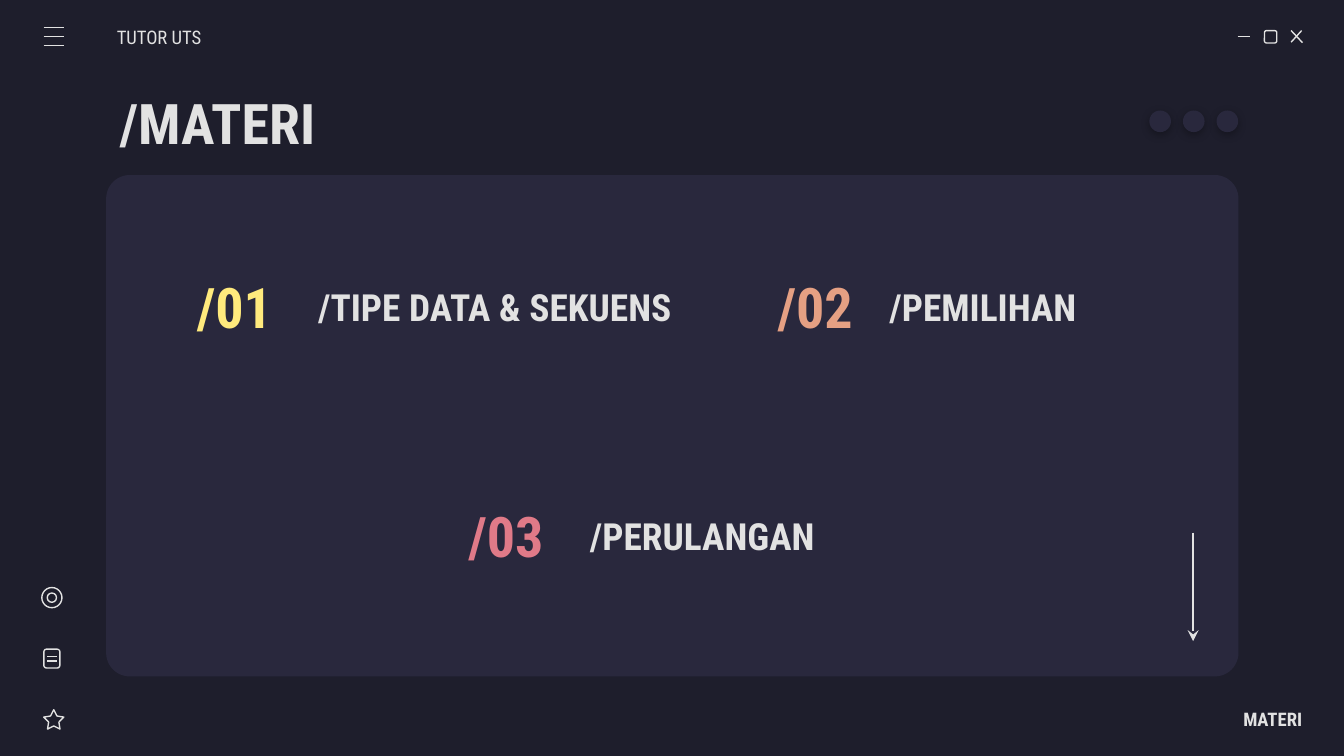
from pptx import Presentation
from pptx.dml.color import RGBColor
from pptx.enum.shapes import MSO_CONNECTOR as Conn, MSO_SHAPE as Kind
from pptx.enum.text import MSO_ANCHOR as Anchor, MSO_AUTO_SIZE as Fit, PP_ALIGN as Align
from pptx.oxml import parse_xml
from pptx.oxml.ns import nsdecls
from pptx.util import Pt

LIGHT, PANEL, BACK = "E2E2E2", "29283D", "1E1E2C"
FONT = "Roboto Condensed"
DROP = (
    '<a:outerShdw blurRad="57150" dist="19050" dir="5400000" algn="bl" rotWithShape="0">'
    '<a:srgbClr val="000000"><a:alpha val="30000"/></a:srgbClr></a:outerShdw>'
)


def paint(color):
    return RGBColor.from_string(color)


def effect(shape, body=""):
    shape._element.spPr.append(parse_xml(f'<a:effectLst {nsdecls("a")}>{body}</a:effectLst>'))


class Deck:
    def __init__(self):
        self.prs = Presentation()
        self.prs.slide_width, self.prs.slide_height = Pt(720), Pt(405)
        self.slide = self.prs.slides.add_slide(self.prs.slide_layouts[5])
        self.slide.background.fill.solid()
        self.slide.background.fill.fore_color.rgb = paint(BACK)

    def label(self, box, text, size, color=LIGHT, bold=True, align=Align.LEFT, left=7.2, right=7.2):
        frame = box.text_frame
        frame.text = text
        frame.word_wrap = True
        frame.auto_size = Fit.NONE
        frame.vertical_anchor = Anchor.MIDDLE
        frame.margin_left, frame.margin_right = Pt(left), Pt(right)
        frame.margin_top = frame.margin_bottom = Pt(7.2)
        para = frame.paragraphs[0]
        para.alignment = align
        font = para.runs[0].font
        font.name, font.size, font.bold = FONT, Pt(size), bold
        font.color.rgb = paint(color)

    def title(self, x, y, w, h, text):
        box = self.slide.shapes.title
        box.left, box.top, box.width, box.height = map(Pt, (x, y, w, h))
        self.label(box, text, 30)

    def text(self, x, y, w, h, *args, **style):
        box = self.slide.shapes.add_textbox(*map(Pt, (x, y, w, h)))
        self.label(box, *args, **style)

    def shape(self, kind, x, y, w, h, fill=None, adjust=(), drop=False):
        shape = self.slide.shapes.add_shape(kind, *map(Pt, (x, y, w, h)))
        for i, value in enumerate(adjust):
            shape.adjustments[i] = value
        if fill:
            shape.fill.solid()
            shape.fill.fore_color.rgb = paint(fill)
            shape.line.fill.background()
        else:
            shape.fill.background()
            shape.line.color.rgb = paint(LIGHT)
            shape.line.width = Pt(0.75)
        if drop:
            effect(shape, DROP)
        else:
            shape.shadow.inherit = False

    def line(self, x1, y1, x2, y2, arrow=False):
        line = self.slide.shapes.add_connector(Conn.STRAIGHT, *map(Pt, (x1, y1, x2, y2)))
        line.line.color.rgb = paint(LIGHT)
        line.line.width = Pt(0.75)
        if arrow:
            ln = line.line._get_or_add_ln()
            ln.append(parse_xml(f'<a:tailEnd {nsdecls("a")} type="stealth"/>'))
        effect(line)


def main():
    deck = Deck()
    deck.shape(Kind.ROUNDED_RECTANGLE, 56.9, 93.8, 606.6, 268.6, PANEL, [0.047])

    deck.line(663.1, 19.6, 669.6, 19.6)
    deck.shape(Kind.ROUNDED_RECTANGLE, 677.4, 16.4, 6.6, 6.6)
    deck.line(691.7, 16.4, 697.8, 22.9)
    deck.line(697.3, 16.4, 691.7, 22.6)

    topics = [
        ("/01", "FFEA7D", 92.9, 144, "/TIPE DATA & SEKUENS", 163.4, 204.5),
        ("/02", "E5A083", 403.9, 144, "/PEMILIHAN", 469.4, 209.5),
        ("/03", "E07A88", 238.3, 266.7, "/PERULANGAN", 309, 184.3),
    ]
    for num, color, x, y, name, left, wide in topics:
        deck.text(left, y, wide, 40.3, name, 20)
        deck.text(x, y, 65.5, 40.3, num, 30, color, align=Align.CENTER)

    deck.title(56.9, 42.5, 606.6, 45.4, "/MATERI")
    deck.text(62.6, 8.9, 84.2, 21.6, "TUTOR UTS", 10, bold=False, left=0)
    deck.text(613.4, 374.6, 84.2, 21.6, "MATERI", 10, align=Align.RIGHT, right=0)

    for row in range(3):
        y = 14.8 + row * 4.8
        deck.line(23.4, y, 34.2, y)

    deck.shape(Kind.STAR_5_POINT, 23.4, 380.2, 10.8, 10.4, adjust=[0.254, 1.051, 1.106])
    deck.shape(Kind.ROUNDED_RECTANGLE, 23.5, 347.8, 8.6, 10.1)
    for y in (351.6, 354.1):
        deck.line(25.2, y, 30.4, y)
    for size in (10.8, 5):
        deck.shape(Kind.OVAL, 27.8 - size / 2, 320.2 - size / 2, size, size)

    deck.line(639.2, 285.3, 639.2, 343.5, arrow=True)
    for i in range(3):
        deck.shape(Kind.OVAL, 651.7 - i * 18, 59.2, 11.6, 11.6, PANEL, drop=True)

    deck.prs.save("out.pptx")


if __name__ == "__main__":
    main()
